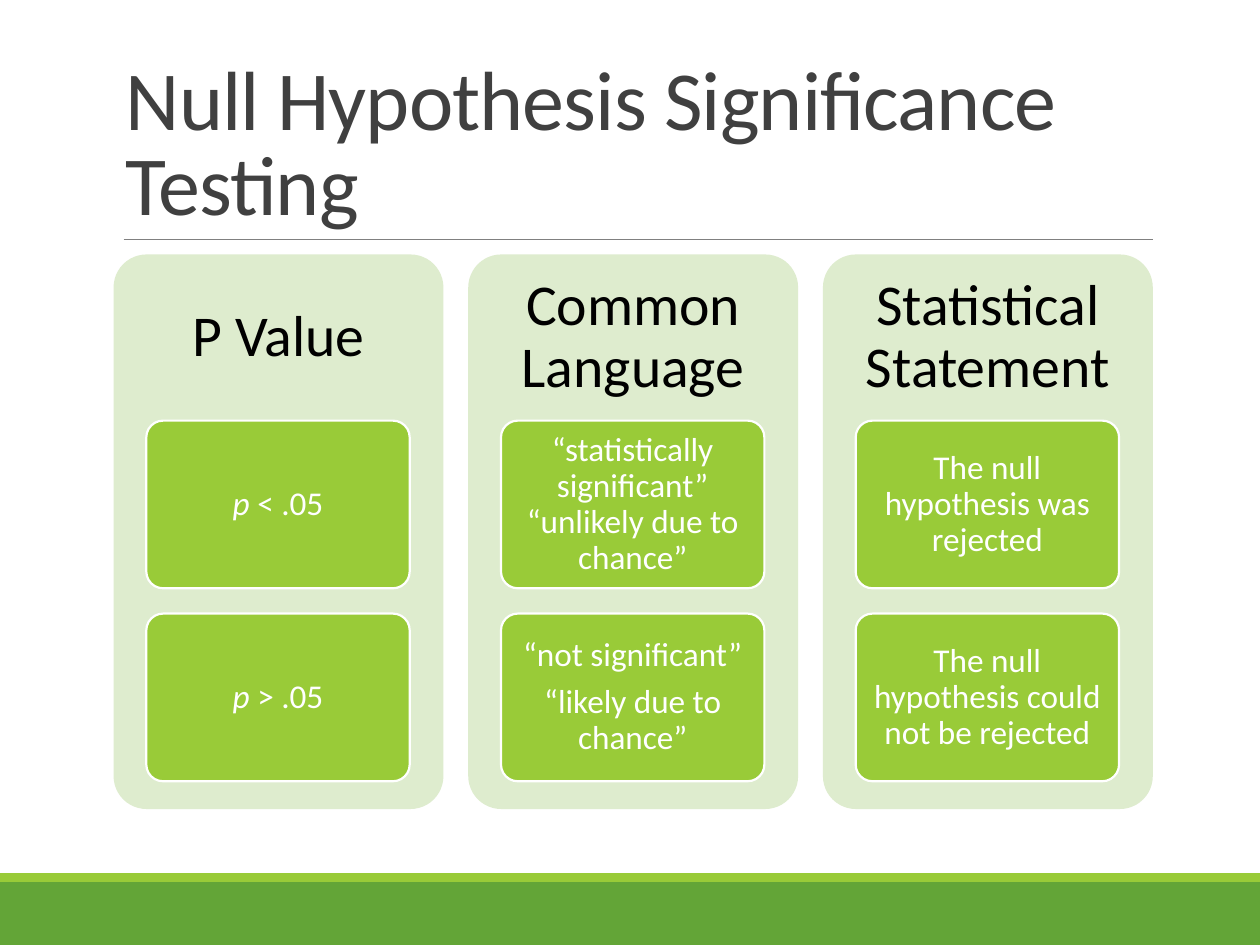
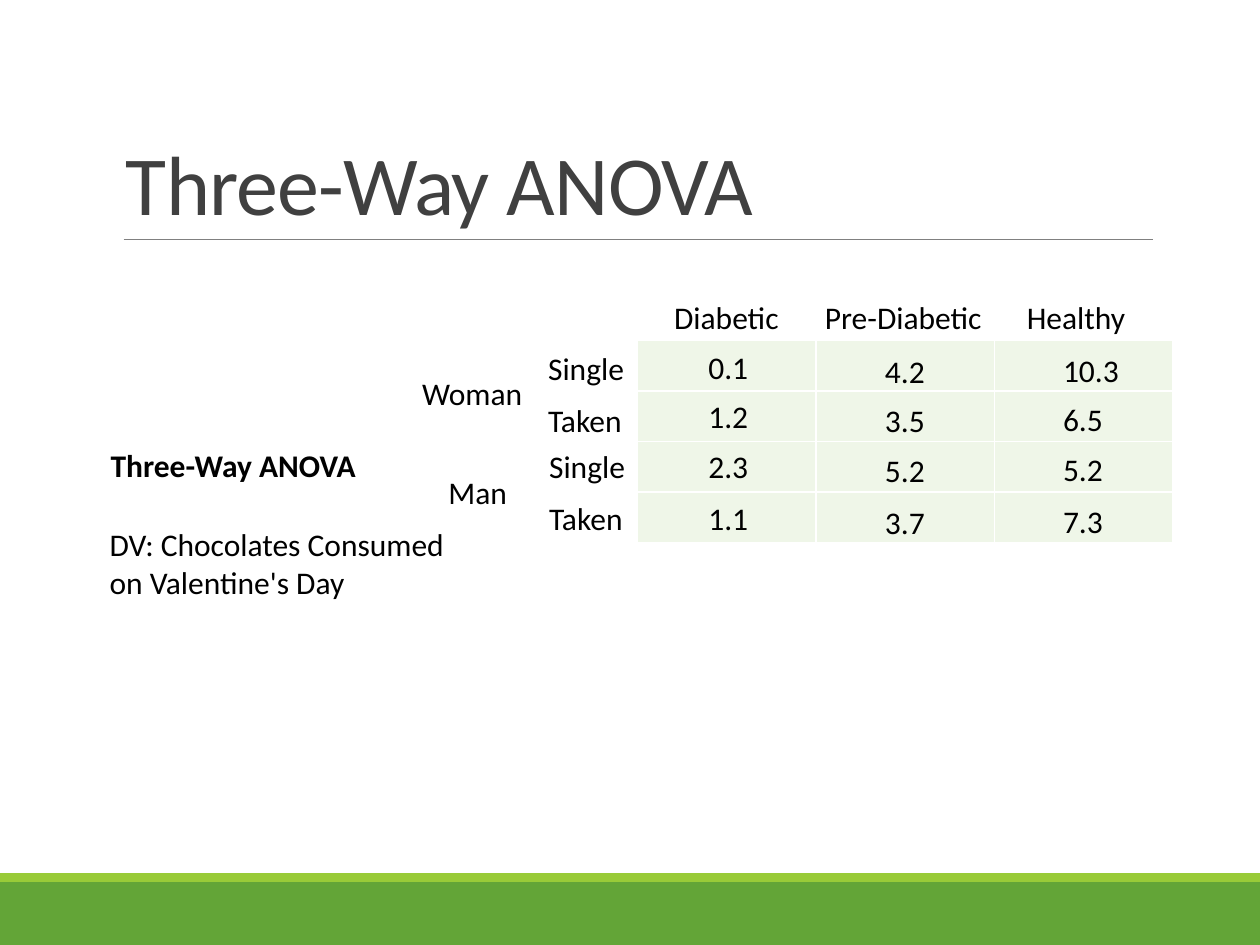
"""Build two statistics slides: significance testing and a three-way ANOVA."""
from dataclasses import dataclass
from typing import NamedTuple

from lxml import etree
from pptx import Presentation
from pptx.dml.color import RGBColor
from pptx.enum.shapes import MSO_CONNECTOR, MSO_SHAPE
from pptx.enum.text import MSO_ANCHOR, MSO_AUTO_SIZE, PP_ALIGN
from pptx.oxml.ns import qn
from pptx.util import Cm, Pt

RECT = MSO_SHAPE.RECTANGLE
ROUNDED = MSO_SHAPE.ROUNDED_RECTANGLE
STRAIGHT = MSO_CONNECTOR.STRAIGHT
TOP, MIDDLE, BOTTOM = MSO_ANCHOR.TOP, MSO_ANCHOR.MIDDLE, MSO_ANCHOR.BOTTOM
LEFT, CENTER = PP_ALIGN.LEFT, PP_ALIGN.CENTER
GROW = MSO_AUTO_SIZE.SHAPE_TO_FIT_TEXT


@dataclass(frozen=True)
class Theme:
    """Font, colours and type sizes of the deck."""
    font: str = "Calibri"
    green: str = "63A537"
    lime: str = "99CB38"
    panel: str = "DEECCE"
    cell: str = "EFF6E8"
    rule: str = "808080"
    title: str = "404040"
    black: str = "000000"
    white: str = "FFFFFF"
    title_pt: int = 48
    heading_pt: int = 33
    card_pt: int = 19
    label_pt: int = 18


THEME = Theme()


class Box(NamedTuple):
    """A rectangle in centimetres."""
    left: float
    top: float
    width: float
    height: float

    def lengths(self) -> list:
        """Return the four sides as lengths."""
        return [Cm(v) for v in self]


class Run(NamedTuple):
    """A stretch of text with its emphasis."""
    text: str
    bold: bool = False
    italic: bool = False


class Style(NamedTuple):
    """How a text is set."""
    size: int
    color: str
    align: PP_ALIGN = LEFT
    anchor: MSO_ANCHOR = TOP
    line: float = 1.0
    after: float = 0
    tracking: int = 0
    margins: tuple = (0.25, 0.13)


class Column(NamedTuple):
    """A headed panel with its cards, each a list of paragraphs of runs."""
    heading: str
    cards: list


class Label(NamedTuple):
    """A free label on the ANOVA slide."""
    left: float
    top: float
    width: float
    run: Run


class Values(NamedTuple):
    """A column of cell means."""
    left: float
    shift: float
    means: tuple


TITLE = Style(THEME.title_pt, THEME.title, anchor=BOTTOM, line=0.85, tracking=-50)
HEADING = Style(THEME.heading_pt, THEME.black, CENTER, MIDDLE, 0.9, margins=(0.36, 0.36))
CARD = Style(THEME.card_pt, THEME.white, CENTER, MIDDLE, 0.9, 6.65, margins=(0.13, 0.1))
LABEL = Style(THEME.label_pt, THEME.black)

COLUMNS = [
    Column("P Value", [
        [[Run("p ", italic=True), Run("< .05")]],
        [[Run("p ", italic=True), Run("> .05")]],
    ]),
    Column("Common Language", [
        [[Run("“statistically significant” “unlikely due to chance”")]],
        [[Run("“not significant”")], [Run("“likely due to chance”")]],
    ]),
    Column("Statistical Statement", [
        [[Run("The null hypothesis was rejected")]],
        [[Run("The null hypothesis could not be rejected")]],
    ]),
]

LABELS = [
    Label(1.98, 8.86, 5.54, Run("Three-Way ANOVA", bold=True)),
    Label(1.96, 10.46, 7.32, Run("DV: Chocolates Consumed on Valentine's Day")),
    Label(13.34, 5.87, 3.45, Run("Diabetic")),
    Label(16.38, 5.87, 3.96, Run("Pre-Diabetic")),
    Label(20.45, 5.87, 3.45, Run("Healthy")),
    Label(8.26, 7.42, 3.45, Run("Woman")),
    Label(8.79, 9.4, 3.45, Run("Man")),
    Label(10.8, 6.91, 3.45, Run("Single")),
    Label(10.8, 7.95, 3.45, Run("Taken")),
    Label(10.82, 8.89, 3.45, Run("Single")),
    Label(10.82, 9.93, 3.45, Run("Taken")),
]

VALUE_TOPS = (6.88, 7.87, 8.88, 9.93)
VALUES = [
    Values(14.03, 0, ("0.1", "1.2", "2.3", "1.1")),
    Values(17.59, 0.08, ("4.2", "3.5", "5.2", "3.7")),
    Values(21.18, 0.07, ("10.3", "6.5", "5.2", "7.3")),
]
LABEL_HEIGHT = 1.02


def rgb(color: str) -> RGBColor:
    """Turn a hex string into a colour."""
    return RGBColor.from_string(color)


def write(tf, paragraphs: list, style: Style) -> None:
    """Fill a text frame with paragraphs of runs."""
    tf.word_wrap = True
    tf.vertical_anchor = style.anchor
    tf.margin_left = tf.margin_right = Cm(style.margins[0])
    tf.margin_top = tf.margin_bottom = Cm(style.margins[1])
    for i, runs in enumerate(paragraphs):
        p = tf.add_paragraph() if i else tf.paragraphs[0]
        p.alignment = style.align
        p.line_spacing = style.line
        p.space_after = Pt(style.after)
        for run in runs:
            r = p.add_run()
            r.text = run.text
            r.font.name = THEME.font
            r.font.size = Pt(style.size)
            r.font.color.rgb = rgb(style.color)
            r.font.bold = run.bold
            r.font.italic = run.italic
            if style.tracking:
                r.font._element.set("spc", str(style.tracking))


def add_text(s, box: Box, runs: list, style: Style, grow: bool = False) -> None:
    """Add a text box with one paragraph."""
    tf = s.shapes.add_textbox(*box.lengths()).text_frame
    write(tf, [runs], style)
    if grow:
        tf.auto_size = GROW


def add_block(s, kind: MSO_SHAPE, box: Box, fill: str, outline: str = ""):
    """Add a filled shape, outlined if a colour is given."""
    sp = s.shapes.add_shape(kind, *box.lengths())
    sp.shadow.inherit = False
    sp.fill.solid()
    sp.fill.fore_color.rgb = rgb(fill)
    if outline:
        sp.line.color.rgb = rgb(outline)
        sp.line.width = Pt(1.25)
    else:
        sp.line.fill.background()
    if kind == ROUNDED:
        sp.adjustments[0] = 0.1
    return sp


def add_base_slide(prs, title: str):
    """Add a slide with the footer bands, the title and its rule."""
    s = prs.slides.add_slide(prs.slide_layouts[6])
    add_block(s, RECT, Box(0, 17.78, 25.4, 1.27), THEME.green)
    add_block(s, RECT, Box(0, 17.6, 25.4, 0.18), THEME.lime)
    rule = s.shapes.add_connector(STRAIGHT, Cm(2.49), Cm(4.83), Cm(23.24), Cm(4.83))
    rule.line.color.rgb = rgb(THEME.rule)
    rule.line.width = Pt(0.5)
    etree.SubElement(rule._element.spPr, qn("a:effectLst"))
    add_text(s, Box(2.29, 0.79, 20.95, 4.04), [Run(title)], TITLE)
    return s


def add_column(s, left: float, column: Column) -> None:
    """Draw a panel, its heading and its stacked cards."""
    add_block(s, ROUNDED, Box(left, 5.13, 6.65, 11.18), THEME.panel)
    add_text(s, Box(left, 5.13, 6.65, 3.35), [Run(column.heading)], HEADING)
    for i, paragraphs in enumerate(column.cards):
        box = Box(left + 0.66, 8.48 + 3.89 * i, 5.31, 3.38)
        card = add_block(s, ROUNDED, box, THEME.lime, THEME.white)
        write(card.text_frame, paragraphs, CARD)


def add_border(cell) -> None:
    """Give a table cell white borders, placed before its fill."""
    tc_pr = cell._tc.get_or_add_tcPr()
    for i, side in enumerate(("lnL", "lnR", "lnT", "lnB")):
        ln = etree.Element(qn(f"a:{side}"), w=str(Pt(1)))
        fill = etree.SubElement(ln, qn("a:solidFill"))
        etree.SubElement(fill, qn("a:srgbClr"), val=THEME.white)
        tc_pr.insert(i, ln)


def add_grid(s, box: Box, rows: int, cols: int) -> None:
    """Draw the tinted table behind the means."""
    table = s.shapes.add_table(rows, cols, *box.lengths()).table
    table.first_row = table.horz_banding = False
    for cell in table.iter_cells():
        cell.fill.solid()
        cell.fill.fore_color.rgb = rgb(THEME.cell)
        add_border(cell)


def build_testing(prs) -> None:
    """Build the significance testing slide."""
    s = add_base_slide(prs, "Null Hypothesis Significance Testing")
    for i, column in enumerate(COLUMNS):
        add_column(s, 2.29 + 7.15 * i, column)


def build_anova(prs) -> None:
    """Build the three-way ANOVA slide."""
    s = add_base_slide(prs, "Three-Way ANOVA")
    add_grid(s, Box(12.85, 6.86, 10.8, 4.08), len(VALUE_TOPS), len(VALUES))
    for label in LABELS:
        box = Box(label.left, label.top, label.width, LABEL_HEIGHT)
        add_text(s, box, [label.run], LABEL, grow=True)
    for values in VALUES:
        for top, mean in zip(VALUE_TOPS, values.means):
            box = Box(values.left, top + values.shift, 1.7, LABEL_HEIGHT)
            add_text(s, box, [Run(mean)], LABEL, grow=True)


def main() -> None:
    """Build and save the deck."""
    prs = Presentation()
    prs.slide_width, prs.slide_height = Cm(25.4), Cm(19.05)
    build_testing(prs)
    build_anova(prs)
    prs.save("out.pptx")


if __name__ == "__main__":
    main()
